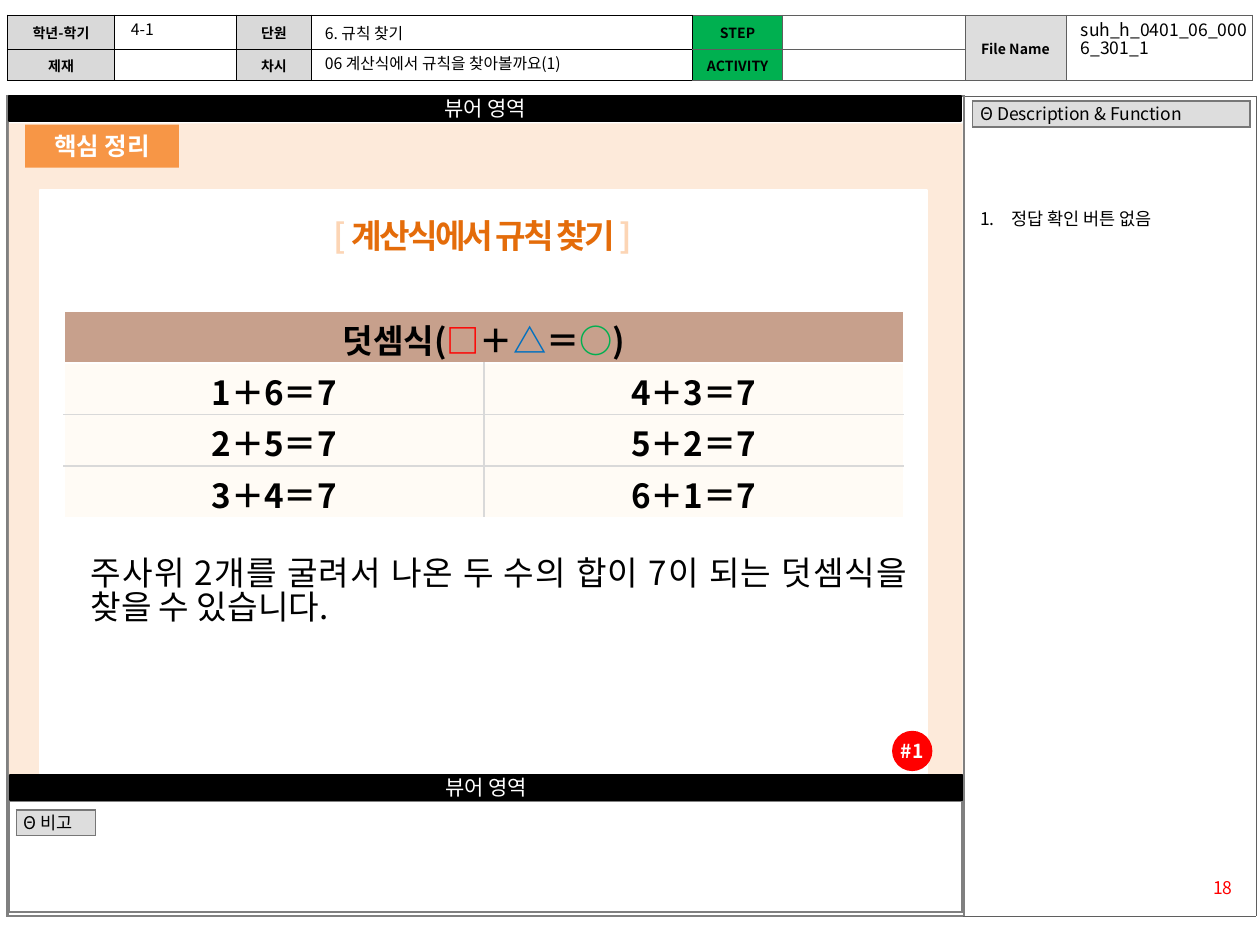
from lxml.etree import SubElement
from pptx import Presentation
from pptx.dml.color import RGBColor
from pptx.enum.shapes import MSO_SHAPE as SHAPE
from pptx.enum.text import MSO_ANCHOR as ANCHOR, PP_ALIGN as ALIGN
from pptx.oxml.ns import qn
from pptx.util import Inches, Pt

FONT = "Noto Sans CJK KR"
C = {
    "black": "000000", "white": "FFFFFF", "red": "FF0000", "blue": "0070C0",
    "green": "00B050", "label": "D9D9D9", "tag": "DDDDDD", "tag_edge": "777777",
    "frame": "808080", "thin": "5F5F5F", "peach": "FDEADA", "orange": "F79646",
    "bracket": "FCD5B5", "title": "E46C0A", "head": "C7A08C", "cream": "FFFBF5",
}


def rgb(name):
    return RGBColor.from_string(C[name])


def write(tf, text, size=10, color="black", bold=False, align=ALIGN.LEFT,
          line=1.0, spacing=None, number=False):
    """Fill the first paragraph; text is a string or a list of (text, color)."""
    p = tf.paragraphs[0]
    p.alignment, p.line_spacing = align, line
    if number:
        pPr = p._p.get_or_add_pPr()
        pPr.set("marL", str(Inches(0.25)))
        pPr.set("indent", str(-Inches(0.25)))
        SubElement(pPr, qn("a:buAutoNum"), type="arabicPeriod")
    if not text:
        SubElement(p._p, qn("a:endParaRPr"), sz=str(size * 100))
        return
    for part, part_color in [(text, color)] if isinstance(text, str) else text:
        r = p.add_run()
        r.text = part
        r.font.size, r.font.bold, r.font.name = Pt(size), bold, FONT
        r.font.color.rgb = rgb(part_color)
        rPr = r._r.get_or_add_rPr()
        if spacing:
            rPr.set("spc", str(int(spacing * 100)))
        SubElement(rPr, qn("a:ea"), typeface=FONT)


def set_borders(cell, borders):
    """borders maps any of the sides L, R, T, B to (color, points)."""
    tcPr = cell._tc.get_or_add_tcPr()
    for side in "LRTB":
        if side in borders:
            color, width = borders[side]
            ln = SubElement(tcPr, qn(f"a:ln{side}"), w=str(Pt(width)))
            fill = SubElement(ln, qn("a:solidFill"))
            SubElement(fill, qn("a:srgbClr"), val=C[color])


def all_sides(color, width):
    return dict.fromkeys("LRTB", (color, width))


class Board:
    def __init__(self, slide):
        self.s = slide

    def title(self, text, x, y, w, h, **fmt):
        sp = self.s.shapes.title
        sp.left, sp.top, sp.width, sp.height = map(Inches, (x, y, w, h))
        sp.text_frame.vertical_anchor = ANCHOR.TOP
        write(sp.text_frame, text, **fmt)
        self.s.shapes._spTree.append(sp._element)  # bring in front of the panel

    def text(self, text, x, y, w, h, line=0.85, **fmt):
        tf = self.s.shapes.add_textbox(*map(Inches, (x, y, w, h))).text_frame
        tf.word_wrap = True
        write(tf, text, line=line, **fmt)

    def box(self, x, y, w, h, fill, edge=None, text="", kind=SHAPE.RECTANGLE, **fmt):
        sp = self.s.shapes.add_shape(kind, *map(Inches, (x, y, w, h)))
        sp.shadow.inherit = False
        sp.fill.solid()
        sp.fill.fore_color.rgb = rgb(fill)
        if edge:
            sp.line.color.rgb, sp.line.width = rgb(edge), Pt(1)
        else:
            sp.line.fill.background()
        if text:
            tf = sp.text_frame
            tf.margin_left = tf.margin_right = tf.margin_top = tf.margin_bottom = 0
            tf.vertical_anchor = ANCHOR.MIDDLE
            write(tf, text, align=ALIGN.CENTER, color="white", **fmt)

    def table(self, x, y, cols, rows):
        size = map(Inches, (x, y, sum(cols), sum(rows)))
        t = self.s.shapes.add_table(len(rows), len(cols), *size).table
        t.first_row = t.horz_banding = False
        for col, w in zip(t.columns, cols):
            col.width = Inches(w)
        for row, h in zip(t.rows, rows):
            row.height = Inches(h)
        return t

    def cell(self, cell, text="", fill=None, borders=None, side=0.1, top=0.0,
             anchor=ANCHOR.MIDDLE, **fmt):
        cell.margin_left = cell.margin_right = Inches(side)
        cell.margin_top, cell.margin_bottom = Inches(top), 0
        cell.vertical_anchor = anchor
        set_borders(cell, borders or {})
        if fill:
            cell.fill.solid()
            cell.fill.fore_color.rgb = rgb(fill)
        else:
            cell.fill.background()
        write(cell.text_frame, text, **fmt)

    def tag(self, text, x, y, w, h):
        t = self.table(x, y, [w], [h])
        self.cell(t.cell(0, 0), text, "tag", all_sides("tag_edge", 1), side=0.06, line=0.9)


def add_frames(b):
    t = b.table(0.06, 0.76, [7.59, 2.32], [6.51])
    b.cell(t.cell(0, 0), borders=all_sides("frame", 1.5))
    b.cell(t.cell(0, 1), borders={**all_sides("thin", 0.25), "L": ("frame", 1.5)})
    t = b.table(0.07, 6.36, [7.57], [0.88])
    b.cell(t.cell(0, 0), borders=all_sides("frame", 1.5))


def add_header(b):
    t = b.table(0.06, 0.12, [0.85, 0.97, 0.59, 3.03, 0.71, 1.45, 0.8, 1.48], [0.27, 0.25])
    labels = [["학년-학기", "", "단원", "", "STEP", "", "File Name", ""],
              ["제재", "", "차시", "", "ACTIVITY", "", "", ""]]
    fills = ["label", None, "label", None, "green", None, "tag", None]
    for r, row in enumerate(labels):
        for c, text in enumerate(row):
            edge = ("black", 0.75) if c < 4 else ("thin", 0.25)
            b.cell(t.cell(r, c), text, fills[c], all_sides(*edge), side=0.02,
                   size=8, bold=True, align=ALIGN.CENTER)
    for c in (6, 7):
        t.cell(0, c).merge(t.cell(1, c))
    b.text("suh_h_0401_06_0006_301_1", 8.48, 0.13, 1.52, 0.44, align=ALIGN.JUSTIFY)
    b.text("4-1", 0.94, 0.13, 0.94, 0.24, size=9)
    b.text("6. 규칙 찾기", 2.48, 0.16, 3.03, 0.16, size=9)
    b.text("06 계산식에서 규칙을 찾아볼까요(1)", 2.48, 0.4, 2.99, 0.24, size=9)


def add_sums(b, total=7):
    t = b.table(0.51, 2.47, [3.33] * 2, [0.41] * 4)
    fmt = dict(size=19, bold=True, align=ALIGN.CENTER, top=0.03, anchor=ANCHOR.TOP)
    head = [("덧셈식(", "black"), ("□", "red"), ("＋", "black"), ("△", "blue"),
            ("＝", "black"), ("○", "green"), (")", "black")]
    white, gray = ("white", 1), ("label", 1)
    t.cell(0, 0).merge(t.cell(0, 1))
    b.cell(t.cell(0, 0), head, "head", all_sides(*white), **fmt)
    for first in range(1, total):
        c, r = divmod(first - 1, 3)
        borders = {"L": gray if c else white, "R": white if c else gray,
                   "T": gray if r else white, "B": gray if r < 2 else white}
        b.cell(t.cell(r + 1, c), f"{first}＋{total - first}＝{total}", "cream", borders, **fmt)


def main():
    prs = Presentation()
    prs.slide_width, prs.slide_height = Inches(10), Inches(7.5)
    b = Board(prs.slides.add_slide(prs.slide_layouts[5]))

    add_frames(b)
    add_header(b)
    b.tag("Θ 비고", 0.13, 6.43, 0.63, 0.2)
    b.text("18", 9.21, 6.94, 0.67, 0.27, color="red", align=ALIGN.RIGHT)

    b.box(0.07, 0.98, 7.57, 5.17, "peach")
    b.box(0.32, 1.51, 7.04, 4.63, "white", "white")
    for x, y in ((0.07, 0.76), (0.08, 6.15)):
        b.box(x, y, 7.56, 0.2, "black", "black", "뷰어 영역", size=12)

    b.tag("Θ Description & Function", 7.72, 0.8, 2.2, 0.21)
    b.text("정답 확인 버튼 없음", 7.68, 1.6, 2.32, 0.3, number=True, line=1.0)

    b.box(0.2, 0.99, 1.22, 0.34, "orange", text="핵심 정리", size=14, bold=True)
    b.title([("[ ", "bracket"), ("계산식에서 규칙 찾기 ", "title"), ("]", "bracket")],
            0.43, 1.71, 6.81, 0.42, size=19, bold=True, spacing=-1.5,
            align=ALIGN.CENTER, line=0.85)
    b.box(7.08, 5.8, 0.32, 0.32, "red", text="#1", kind=SHAPE.OVAL, size=11, bold=True)
    b.text("주사위 2개를 굴려서 나온 두 수의 합이 7이 되는 덧셈식을 찾을 수 있습니다.",
           0.62, 4.38, 6.68, 0.74, size=19, align=ALIGN.JUSTIFY)
    add_sums(b)
    prs.save("out.pptx")


if __name__ == "__main__":
    main()
